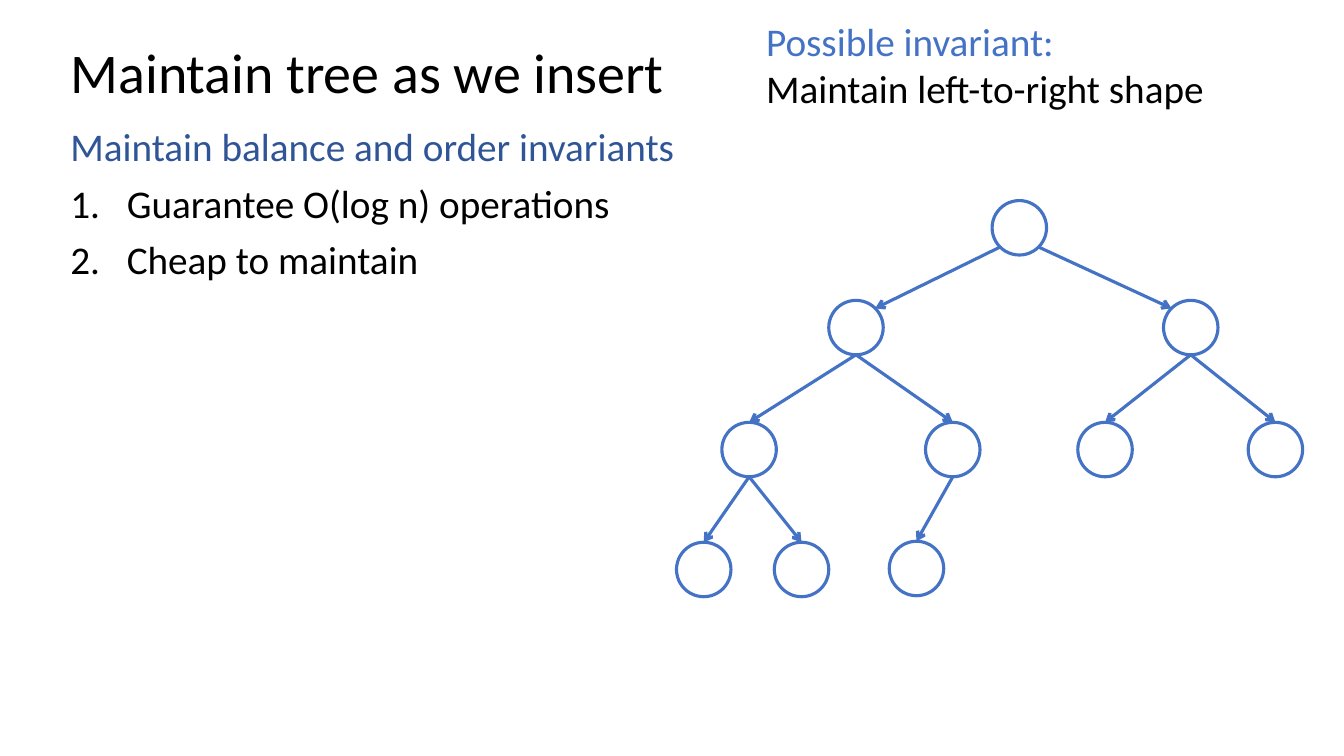
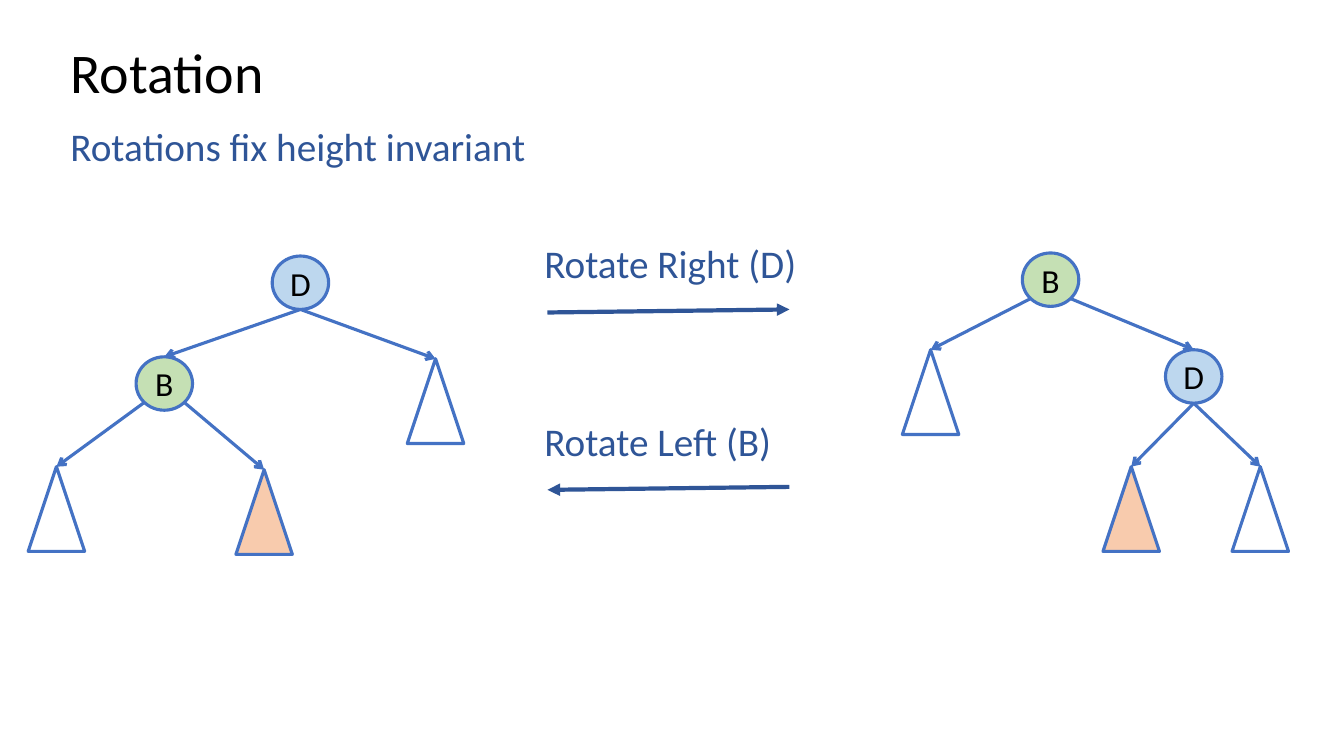
"""Build two slides on keeping search trees balanced: insertion and rotation."""
from math import sqrt

from lxml.etree import SubElement
from pptx import Presentation
from pptx.dml.color import RGBColor
from pptx.enum.shapes import MSO_CONNECTOR, MSO_SHAPE
from pptx.enum.text import MSO_ANCHOR, MSO_AUTO_SIZE, PP_ALIGN
from pptx.oxml.ns import qn
from pptx.util import Inches, Pt

BLACK = RGBColor(0x00, 0x00, 0x00)
WHITE = RGBColor(0xFF, 0xFF, 0xFF)
BLUE = RGBColor(0x44, 0x72, 0xC4)
DARK_BLUE = RGBColor(0x2F, 0x55, 0x97)
LIGHT_BLUE = RGBColor(0xBD, 0xD7, 0xEE)
GREEN = RGBColor(0xC5, 0xE0, 0xB4)
ORANGE = RGBColor(0xF8, 0xCB, 0xAD)
FONT = "Calibri"


def write_text(frame, lines, size=28, color=BLACK, align=PP_ALIGN.LEFT,
               anchor=MSO_ANCHOR.TOP, spacing=0.9, before=10, inset=None):
    """Fill a frame with lines, each a string or a (text, color, numbered) tuple."""
    frame.word_wrap = True
    frame.auto_size = MSO_AUTO_SIZE.NONE
    frame.vertical_anchor = anchor
    if inset is not None:
        frame.margin_left = frame.margin_right = inset
        frame.margin_top = frame.margin_bottom = inset
    for index, line in enumerate(lines):
        text, line_color, numbered = (line, color, False) if isinstance(line, str) else line
        paragraph = frame.add_paragraph() if index else frame.paragraphs[0]
        if numbered:
            properties = paragraph._p.get_or_add_pPr()
            properties.set("marL", str(Inches(0.56)))
            properties.set("indent", str(-Inches(0.56)))
            SubElement(properties, qn("a:buFont"), typeface="+mj-lt")
            SubElement(properties, qn("a:buAutoNum"), type="arabicPeriod")
        paragraph.alignment = align
        paragraph.line_spacing = spacing
        paragraph.space_before = Pt(before if index else 0)
        run = paragraph.add_run()
        run.text = text
        run.font.name = FONT
        run.font.size = Pt(size)
        run.font.color.rgb = line_color


def draw_arrow(slide, start, end, color=BLUE, width=2.25, head="arrow"):
    """Draw a straight arrow between two points and return it."""
    arrow = slide.shapes.add_connector(MSO_CONNECTOR.STRAIGHT, *start, *end)
    arrow.line.color.rgb = color
    arrow.line.width = Pt(width)
    SubElement(arrow.line._get_or_add_ln(), qn("a:tailEnd"), type=head)
    SubElement(arrow._element.spPr, qn("a:effectLst"))
    return arrow


NODE = (MSO_SHAPE.OVAL, 0.54, 0.54)
KEY = (MSO_SHAPE.OVAL, 0.56, 0.53)
SUBTREE = (MSO_SHAPE.ISOSCELES_TRIANGLE, 0.56, 0.84)

insertion_parts = {
    name: (NODE, left, top, None, "")
    for name, left, top in [
        ("root", 9.84, 1.99),
        ("left", 8.22, 2.98), ("right", 11.54, 2.98),
        ("left-left", 7.16, 4.19), ("left-right", 9.18, 4.19),
        ("right-left", 10.69, 4.19), ("right-right", 12.38, 4.19),
        ("leaf 1", 6.71, 5.38), ("leaf 2", 7.68, 5.38), ("leaf 3", 8.82, 5.37),
    ]
}
insertion_edges = [
    ("root", "left", "corner", "corner"), ("root", "right", "corner", "corner"),
    ("left", "left-left", "bottom", "top"), ("left", "left-right", "bottom", "top"),
    ("right", "right-left", "bottom", "top"), ("right", "right-right", "bottom", "top"),
    ("left-left", "leaf 1", "bottom", "top"), ("left-left", "leaf 2", "bottom", "top"),
    ("left-right", "leaf 3", "bottom", "top"),
]

rotation_parts = {
    "before D": (KEY, 2.7, 2.54, LIGHT_BLUE, "D"),
    "before B": (KEY, 1.35, 3.54, GREEN, "B"),
    "before low": (SUBTREE, 0.28, 4.63, WHITE, ""),
    "before middle": (SUBTREE, 2.34, 4.66, ORANGE, ""),
    "before high": (SUBTREE, 4.04, 3.56, WHITE, ""),
    "after B": (KEY, 10.14, 2.51, GREEN, "B"),
    "after D": (KEY, 11.56, 3.47, LIGHT_BLUE, "D"),
    "after low": (SUBTREE, 8.95, 3.47, WHITE, ""),
    "after middle": (SUBTREE, 10.94, 4.63, ORANGE, ""),
    "after high": (SUBTREE, 12.22, 4.63, WHITE, ""),
}
rotation_edges = [
    ("before D", "before B", "bottom", "top"),
    ("before D", "before high", "bottom", "top"),
    ("before B", "before low", "corner", "top"),
    ("before B", "before middle", "corner", "top"),
    ("after B", "after low", "corner", "top"),
    ("after B", "after D", "corner", "top"),
    ("after D", "after middle", "bottom", "top"),
    ("after D", "after high", "bottom", "top"),
]

pages = [
    ("Maintain tree as we insert", 6.9,
     [("Maintain balance and order invariants", DARK_BLUE, False),
      ("Guarantee O(log n) operations", BLACK, True),
      ("Cheap to maintain", BLACK, True)],
     insertion_parts, insertion_edges),
    ("Rotation", 11.5,
     [("Rotations fix height invariant", DARK_BLUE, False)],
     rotation_parts, rotation_edges),
]

deck = Presentation()
deck.slide_width = Inches(13.33)
deck.slide_height = Inches(7.5)

for heading, body_width, body_lines, parts, edges in pages:
    slide = deck.slides.add_slide(deck.slide_layouts[5])
    title = slide.shapes.title
    title.left, title.top = Inches(0.6), Inches(0.4)
    title.width, title.height = Inches(11.5), Inches(0.69)
    write_text(title.text_frame, [heading], size=40, anchor=MSO_ANCHOR.MIDDLE)
    body = slide.shapes.add_textbox(Inches(0.6), Inches(1.22), Inches(body_width), Inches(2.23))
    write_text(body.text_frame, body_lines)

    drawn = {}
    for name, ((outline, width, height), left, top, fill, label) in parts.items():
        part = slide.shapes.add_shape(
            outline, Inches(left), Inches(top), Inches(width), Inches(height))
        part.shadow.inherit = False
        part.line.color.rgb = BLUE
        part.line.width = Pt(2.25)
        if fill is None:
            part.fill.background()
        else:
            part.fill.solid()
            part.fill.fore_color.rgb = fill
        if label:
            write_text(part.text_frame, [label], size=24, align=PP_ALIGN.CENTER,
                       anchor=MSO_ANCHOR.MIDDLE, spacing=1.0, inset=0)
        drawn[name] = part

    for parent_name, child_name, leaves_from, arrives_at in edges:
        parent, child = drawn[parent_name], drawn[child_name]
        side = 1 if child.left > parent.left else -1
        start_x, start_y = parent.left + parent.width // 2, parent.top + parent.height
        end_x, end_y = child.left + child.width // 2, child.top
        if leaves_from == "corner":
            start_x += int(side * parent.width / sqrt(8))
            start_y -= int(parent.height * (0.5 - 1 / sqrt(8)))
        if arrives_at == "corner":
            end_x -= int(side * child.width / sqrt(8))
            end_y += int(child.height * (0.5 - 1 / sqrt(8)))
        edge = draw_arrow(slide, (start_x, start_y), (end_x, end_y))
        if arrives_at == "top":
            edge.end_connect(child, 0)

insertion, rotation = deck.slides

invariant = insertion.shapes.add_textbox(Inches(7.5), Inches(0.12), Inches(5.05), Inches(1.04))
write_text(invariant.text_frame,
           [("Possible invariant:", BLUE, False), "Maintain left-to-right shape"],
           spacing=1.0, before=0)

for caption, top, start, end in [
    ("Rotate Right (D)", 2.38, (5.43, 3.1), (7.83, 3.07)),
    ("Rotate Left (B)", 4.14, (7.83, 4.83), (5.43, 4.86)),
]:
    direction = rotation.shapes.add_textbox(Inches(5.3), Inches(top), Inches(2.99), Inches(0.69))
    write_text(direction.text_frame, [caption], color=DARK_BLUE)
    draw_arrow(rotation, [Inches(value) for value in start], [Inches(value) for value in end],
               color=DARK_BLUE, width=3, head="triangle")

deck.save("out.pptx")
